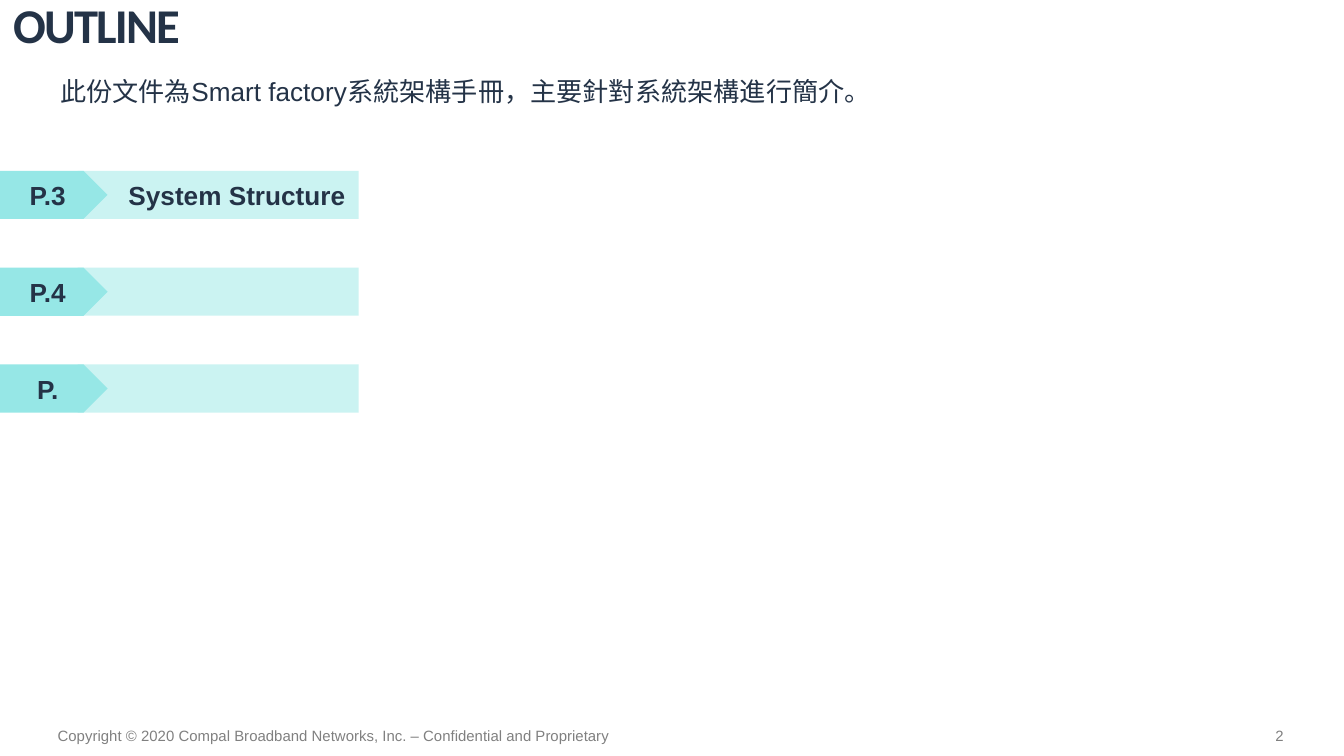
from pptx import Presentation
from pptx.dml.color import RGBColor
from pptx.enum.shapes import MSO_SHAPE
from pptx.enum.text import MSO_ANCHOR, MSO_AUTO_SIZE, PP_ALIGN
from pptx.util import Cm, Pt

NAVY = RGBColor(0x24, 0x33, 0x47)
GRAY = RGBColor(0x80, 0x80, 0x80)
TEAL = RGBColor(0x96, 0xE7, 0xE6)
PALE_TEAL = RGBColor(0xCB, 0xF3, 0xF2)

ENTRIES = [("P.3", "System Structure"), ("P.4", ""), ("P.", "")]


def write(shape, text, size=14, font="Arial", color=NAVY, bold=False,
          align=PP_ALIGN.LEFT, anchor=MSO_ANCHOR.TOP, grow=False,
          line_spacing=None, tracking=None):
    """Put one formatted paragraph in a shape; tracking is in points."""
    frame = shape.text_frame
    frame.word_wrap = True
    frame.vertical_anchor = anchor
    if grow:
        frame.auto_size = MSO_AUTO_SIZE.SHAPE_TO_FIT_TEXT
    paragraph = frame.paragraphs[0]
    paragraph.alignment = align
    if line_spacing:
        paragraph.line_spacing = line_spacing
    run = paragraph.add_run()
    run.text = text
    run.font.size = Pt(size)
    run.font.name = font
    run.font.bold = bold
    run.font.color.rgb = color
    if tracking:
        run.font._element.set("spc", str(tracking * 100))


def add_text(slide, left, top, width, height, text, **style):
    box = slide.shapes.add_textbox(Cm(left), Cm(top), Cm(width), Cm(height))
    write(box, text, **style)


def add_block(shapes, preset, left, top, width, height, fill):
    block = shapes.add_shape(preset, Cm(left), Cm(top), Cm(width), Cm(height))
    block.shadow.inherit = False
    block.fill.solid()
    block.fill.fore_color.rgb = fill
    block.line.fill.background()
    return block


def add_heading(slide, left, top, width):
    add_text(slide, left, top, width, 1.45, "OUTLINE", size=26,
             font="Calibri", bold=True, line_spacing=0.8, tracking=-1)
    add_text(slide, left + 0.89, top + 1.3, width - 1.37, 0.86,
             "此份文件為Smart factory系統架構手冊，主要針對系統架構進行簡介。", grow=True)


def add_entry(slide, left, top, width, height, page, topic):
    """Add a grouped bar with its page number in an arrow at the left end."""
    shapes = slide.shapes.add_group_shape().shapes
    tag_width = 0.3 * width
    bar_offset = 1.47
    bar = add_block(shapes, MSO_SHAPE.RECTANGLE, left + bar_offset, top,
                    width - bar_offset, height, PALE_TEAL)
    if topic:
        write(bar, topic, bold=True, align=PP_ALIGN.RIGHT,
              anchor=MSO_ANCHOR.MIDDLE)
    tag = add_block(shapes, MSO_SHAPE.PENTAGON, left, top, tag_width, height, TEAL)
    write(tag, page, bold=True, align=PP_ALIGN.CENTER, anchor=MSO_ANCHOR.MIDDLE)


def add_entries(slide, left, top, width, height, pitch):
    for row, (page, topic) in enumerate(ENTRIES):
        add_entry(slide, left, top + row * pitch, width, height, page, topic)


def add_footer(slide, left, top, width, height):
    style = dict(size=8, color=GRAY, anchor=MSO_ANCHOR.MIDDLE, grow=True)
    number_width = 1.27
    add_text(slide, left, top, 11.61, height,
             "Copyright © 2020 Compal Broadband Networks, Inc. – "
             "Confidential and Proprietary", **style)
    add_text(slide, left + width - number_width, top, number_width, height,
             "2", align=PP_ALIGN.RIGHT, **style)


def main():
    deck = Presentation()
    deck.slide_width, deck.slide_height = Cm(25.4), Cm(14.29)
    slide = deck.slides.add_slide(deck.slide_layouts[6])
    add_heading(slide, 0, 0, 23.27)
    add_entries(slide, 0, 3.23, 6.78, 0.91, pitch=1.83)
    add_footer(slide, 0.84, 13.59, 23.67, 0.61)
    deck.save("out.pptx")


if __name__ == "__main__":
    main()
